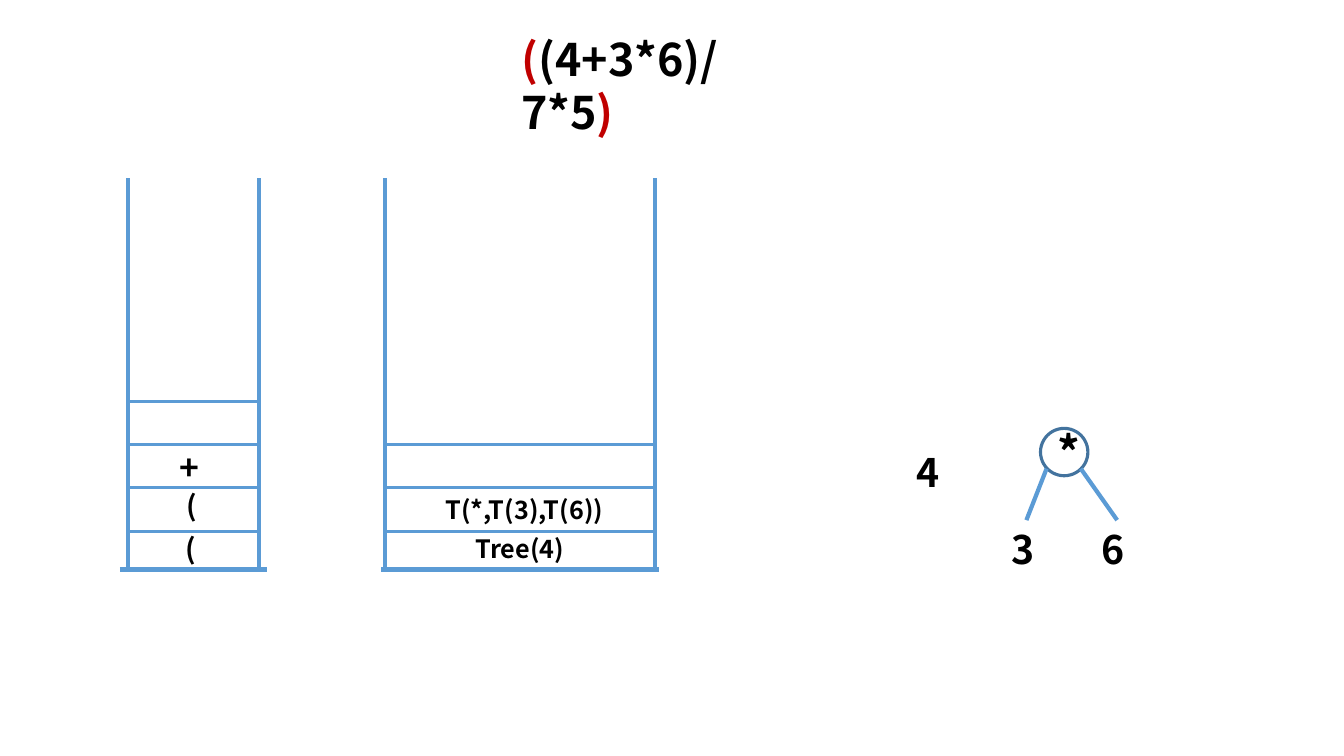
from dataclasses import dataclass

from pptx import Presentation
from pptx.dml.color import RGBColor
from pptx.enum.shapes import MSO_CONNECTOR as Link, MSO_SHAPE as Shape
from pptx.enum.text import MSO_ANCHOR as Anchor, MSO_AUTO_SIZE as Fit, PP_ALIGN as Align
from pptx.oxml.ns import qn
from pptx.util import Inches, Pt


@dataclass(frozen=True)
class Theme:
    font: str = "Noto Sans CJK SC"
    text: str = "000000"
    accent: str = "C00000"
    line: str = "5B9BD5"
    node: str = "43739E"
    thick: float = 3
    thin: float = 2.25
    title: int = 32
    leaf: int = 28
    plus: int = 24
    bracket: int = 20
    tree: int = 18


class Board:
    def __init__(self, slide, theme):
        self.slide, self.theme = slide, theme

    def set_text(self, shape, runs, size, align=Align.LEFT, **frame_format):
        frame = shape.text_frame
        for name, value in {"word_wrap": True, **frame_format}.items():
            setattr(frame, name, value)
        paragraph = frame.paragraphs[0]
        paragraph.alignment = align
        for words, color in runs:
            run = paragraph.add_run()
            run.text = words
            for name, value in {"name": self.theme.font, "size": Pt(size), "bold": True}.items():
                setattr(run.font, name, value)
            run.font.color.rgb = RGBColor.from_string(color)
            east_asian = run.font._element.makeelement(qn("a:ea"), {"typeface": self.theme.font})
            run.font._element.append(east_asian)

    def title(self, runs, left, top, width, height):
        title = self.slide.shapes.title
        place = {"left": left, "top": top, "width": width, "height": height}
        for name, value in place.items():
            setattr(title, name, Inches(value))
        self.set_text(title, runs, self.theme.title, vertical_anchor=Anchor.TOP,
                      auto_size=Fit.SHAPE_TO_FIT_TEXT)
        title.text_frame.paragraphs[0].line_spacing = 1.0

    def label(self, words, size, left, top, width, height):
        box = self.slide.shapes.add_textbox(*map(Inches, (left, top, width, height)))
        self.set_text(box, [(words, self.theme.text)], size, auto_size=Fit.SHAPE_TO_FIT_TEXT)

    def line(self, x1, y1, x2, y2, weight):
        line = self.slide.shapes.add_connector(Link.STRAIGHT, *map(Inches, (x1, y1, x2, y2)))
        line.line.color.rgb = RGBColor.from_string(self.theme.line)
        line.line.width = Pt(weight)
        properties = line._element.spPr
        properties.append(properties.makeelement(qn("a:effectLst"), {}))

    def node(self, words, left, top, size):
        node = self.slide.shapes.add_shape(Shape.OVAL, *map(Inches, (left, top, size, size)))
        node.shadow.inherit = False
        node.fill.background()
        node.line.color.rgb = RGBColor.from_string(self.theme.node)
        node.line.width = Pt(self.theme.thin)
        self.set_text(node, [(words, self.theme.text)], self.theme.title, Align.CENTER,
                      vertical_anchor=Anchor.MIDDLE)

    def stack(self, left, right, overhang, cells):
        rim, floor, first_divider, cell_height = 1.77, 5.65, 5.27, 0.43
        for wall in (left, right):
            self.line(wall, rim, wall, floor, self.theme.thick)
        self.line(left - overhang, floor, right + overhang, floor, self.theme.thick)
        for cell in range(cells):
            y = first_divider - cell * cell_height
            self.line(left, y, right, y, self.theme.thin)


theme = Theme()
deck = Presentation()
deck.slide_width, deck.slide_height = Inches(13.33), Inches(7.5)
board = Board(deck.slides.add_slide(deck.slide_layouts[5]), theme)

# Expression with its outer brackets marked
board.title([("(", theme.accent), ("(4+3*6)/7*5", theme.text), (")", theme.accent)],
            5.07, 0.26, 2.89, 0.64)

# Operator stack
board.stack(1.27, 2.57, 0.08, cells=4)
for operator, size, left, top, height in [
    ("(", theme.bracket, 1.74, 5.22, 0.43),
    ("(", theme.bracket, 1.75, 4.8, 0.43),
    ("+", theme.plus, 1.68, 4.38, 0.5),
]:
    board.label(operator, size, left, top, 0.42, height)

# Operand stack
board.stack(3.82, 6.5, 0.04, cells=3)
board.label("Tree(4)", theme.tree, 4.62, 5.24, 1.16, 0.4)
board.label("T(*,T(3),T(6))", theme.tree, 4.32, 4.86, 2.3, 0.4)

# Trees built so far
for number, left, top in [("4", 8.99, 4.4), ("3", 9.93, 5.16), ("6", 10.83, 5.16)]:
    board.label(number, theme.leaf, left, top, 0.5, 0.57)
board.node("*", 10.32, 4.25, 0.47)
for branch_top, branch_end in [(10.38, 10.18), (10.72, 11.08)]:
    board.line(branch_top, 4.65, branch_end, 5.16, theme.thick)

deck.save("out.pptx")
